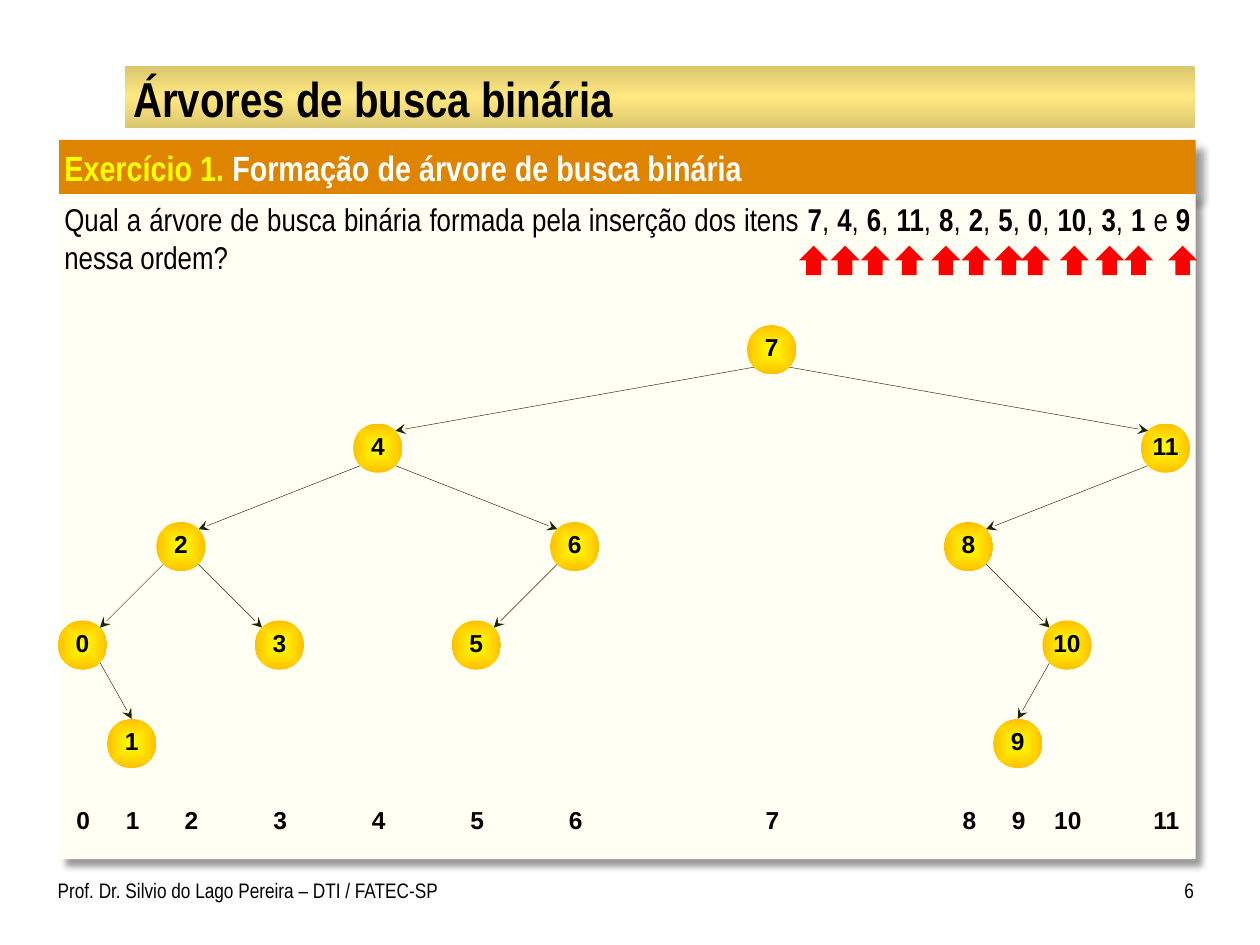
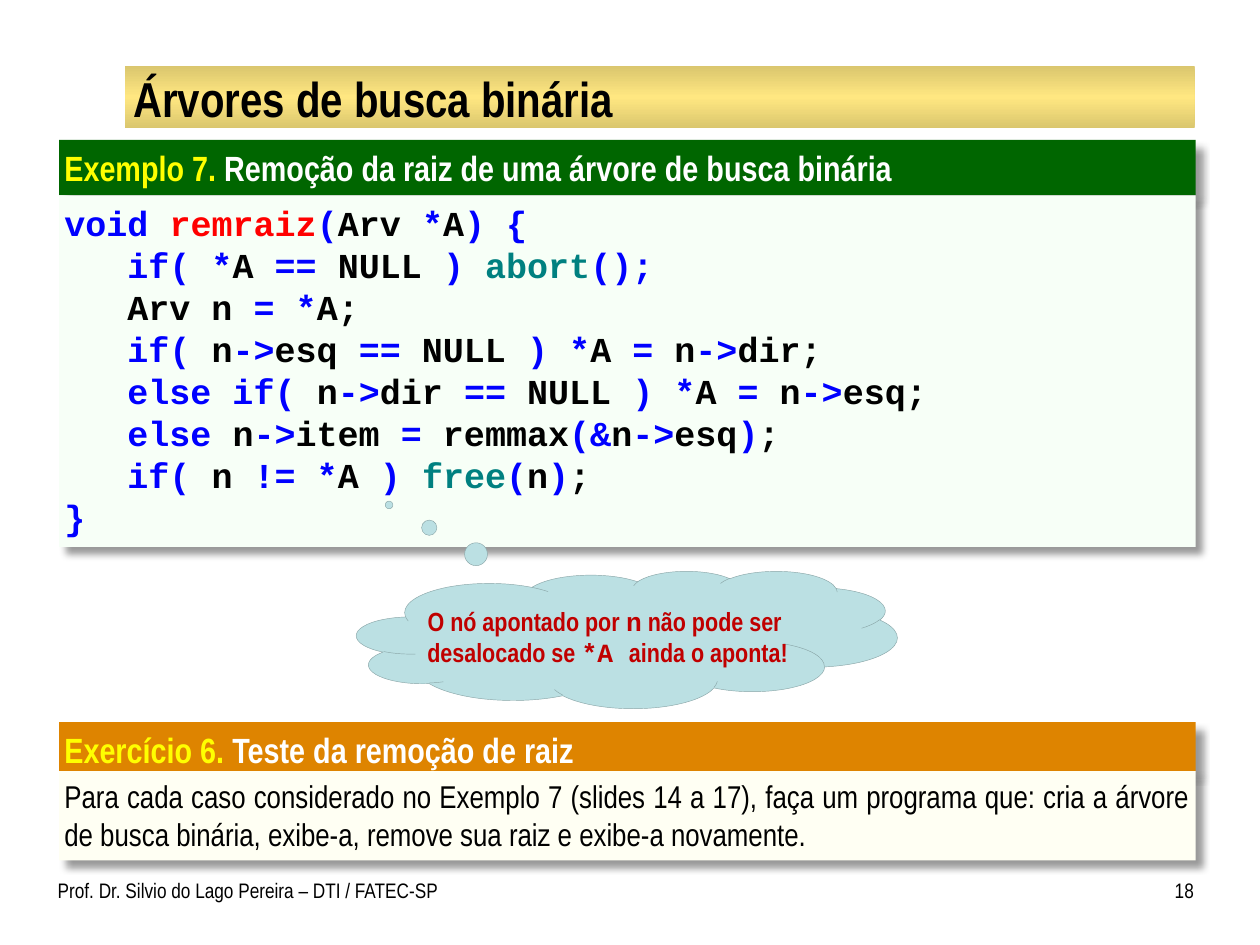
from dataclasses import dataclass
from math import sqrt

from lxml import etree
from pptx import Presentation
from pptx import util as u
from pptx.dml import color
from pptx.enum import shapes, text
from pptx.oxml import ns

TITLE = "Árvores de busca binária"
FOOTER = "Prof. Dr. Silvio do Lago Pereira – DTI / FATEC-SP"

FORMATION = {
    "page": "6",
    "heading": "`Exercício 1.` Formação de árvore de busca binária",
    "question": "Qual a árvore de busca binária formada pela inserção dos itens "
                "`7`, `4`, `6`, `11`, `8`, `2`, `5`, `0`, `10`, `3`, `1` e `9` nessa ordem?",
    "items": [7, 4, 6, 11, 8, 2, 5, 0, 10, 3, 1, 9],
    "marker_lefts": [456.5, 474.5, 491.8, 511.2, 532.1, 549.4,
                     568.1, 583.2, 605.5, 625.7, 642.2, 667.4],
}

REMOVAL = {
    "page": "18",
    "heading": "`Exemplo 7.` Remoção da raiz de uma árvore de busca binária",
    "code": [
        (0, "`void `remraiz`(`Arv` *`A`) {`"),
        (1, "`if( *`A` == `NULL` ) `abort`();`"),
        (1, "Arv n `= *`A;"),
        (1, "`if(` n`->`esq `==` NULL `) *`A `=` n`->`dir;"),
        (1, "`else if(` n`->`dir `==` NULL `) *`A `=` n`->`esq;"),
        (1, "`else` n`->`item `= `remmax`(&`n`->`esq`)`;"),
        (1, "`if(` n `!= *`A `) `free`(`n`)`;"),
        (0, "`}`"),
    ],
    "warning": ["O nó apontado por `n` não pode ser ",
                "desalocado se `*A `ainda o aponta!"],
    "exercise_heading": "`Exercício 6.` Teste da remoção de raiz",
    "exercise": "Para cada caso considerado no Exemplo 7 (slides 14 a 17), faça um programa "
                "que: cria a árvore de busca binária, exibe-a, remove sua raiz e exibe-a "
                "novamente.",
}


@dataclass(frozen=True)
class Theme:
    black: str = "000000"
    white: str = "FFFFFF"
    yellow: str = "FFFF00"
    amber: str = "FFC000"
    gold: str = "DAC66E"
    light_gold: str = "FFE781"
    orange: str = "DE8400"
    cream: str = "FFFFF3"
    green: str = "006600"
    mint: str = "F7FFF7"
    red: str = "FF0000"
    blue: str = "0000FF"
    teal: str = "008080"
    dark_red: str = "C00000"
    cloud: str = "BBE0E3"
    cloud_edge: str = "8AA6A8"
    branch: str = "222501"
    narrow: str = "Arial Narrow"
    sans: str = "Arial"
    mono: str = "Courier New"
    title_size: int = 28
    heading_size: int = 20
    body_size: int = 18
    code_size: int = 20
    warning_size: int = 15
    node_size: int = 14
    footer_size: int = 12


T = Theme()
FUNCTION_COLORS = {"remraiz": T.red, "abort": T.teal, "free": T.teal}
PANEL_LEFT, PANEL_WIDTH = 33.8, 649.4
CELL = 28.13
TREE_LEFT, TREE_TOP = 33.1, 185.8
CORNER = CELL / 2 / sqrt(2)
CODE_INDENT = 36


def rgb(value):
    return color.RGBColor.from_string(value)


def write(shape, lines, *, size, font=T.narrow, ink=T.black, bold=False, alt=None,
          names=None, align=text.PP_ALIGN.LEFT, anchor=text.MSO_ANCHOR.TOP,
          insets=(3, 3.6, 3, 3.6), before=0, wrap=True, indents=None):
    frame = shape.text_frame
    frame.word_wrap = wrap
    frame.vertical_anchor = anchor
    (frame.margin_left, frame.margin_top,
     frame.margin_right, frame.margin_bottom) = map(u.Pt, insets)
    base = {"font": font, "ink": ink, "bold": bold}
    for row, line in enumerate(lines):
        paragraph = frame.add_paragraph() if row else frame.paragraphs[0]
        paragraph.alignment = align
        paragraph.space_before = u.Pt(before)
        if indents and indents[row]:
            properties = paragraph._p.get_or_add_pPr()
            properties.set("marL", str(u.Pt(indents[row])))
            properties.set("indent", "0")
        for part, words in enumerate(line.split("`")):
            if not words:
                continue
            look = {**base, **((alt or {}) if part % 2 else {})}
            run = paragraph.add_run()
            run.text = words
            run.font.size = u.Pt(size)
            run.font.name = look["font"]
            run.font.bold = look["bold"]
            run.font.color.rgb = rgb((names or {}).get(words, look["ink"]))


def draw(slide, kind, left, top, width, height, fill=None, edge=None):
    shape = slide.shapes.add_shape(kind, *map(u.Pt, (left, top, width, height)))
    shape.shadow.inherit = False
    if fill:
        shape.fill.solid()
        shape.fill.fore_color.rgb = rgb(fill)
    else:
        shape.fill.background()
    if edge:
        shape.line.color.rgb = rgb(edge)
        shape.line.width = u.Pt(0.25)
    else:
        shape.line.fill.background()
    return shape


def add_xml(parent, tag, **attributes):
    return etree.SubElement(parent, ns.qn(tag), attributes)


def grade(shape, stops, radial=False):
    properties = shape.element.spPr
    plain = properties.find(ns.qn("a:noFill"))
    gradient = etree.Element(ns.qn("a:gradFill"), rotWithShape="1")
    stop_list = add_xml(gradient, "a:gsLst")
    for position, value in stops:
        stop = add_xml(stop_list, "a:gs", pos=str(position * 1000))
        add_xml(stop, "a:srgbClr", val=value)
    if radial:
        center = add_xml(gradient, "a:path", path="shape")
        add_xml(center, "a:fillToRect", **dict.fromkeys("ltrb", "50000"))
    else:
        add_xml(gradient, "a:lin", ang="5400000", scaled="1")
    properties.replace(plain, gradient)


def panel(slide, top, height, fill):
    shape = draw(slide, shapes.MSO_SHAPE.RECTANGLE, PANEL_LEFT, top, PANEL_WIDTH, height, fill)
    effects = shape.element.spPr.find(ns.qn("a:effectLst"))
    shadow = add_xml(effects, "a:outerShdw", blurRad=str(u.Pt(4)), dist=str(u.Pt(6)),
                     dir="2700000", algn="tl", rotWithShape="0")
    add_xml(add_xml(shadow, "a:srgbClr", val=T.black), "a:alpha", val="40000")
    return shape


def heading(slide, words, top, height, fill):
    write(panel(slide, top, height, fill), [words], size=T.heading_size, ink=T.white,
          bold=True, alt={"ink": T.yellow}, insets=(3, 3.6, 7.2, 3.6))


def body(slide, words, top, height):
    write(panel(slide, top, height, T.cream), [words], size=T.body_size,
          alt={"bold": True}, align=text.PP_ALIGN.JUSTIFY, before=6)


def label(slide, words, left, top, width, height, **look):
    write(slide.shapes.add_textbox(*map(u.Pt, (left, top, width, height))), [words], **look)


def start_slide(deck, page):
    slide = deck.slides.add_slide(deck.slide_layouts[6])
    band = draw(slide, shapes.MSO_SHAPE.RECTANGLE, 71.4, 37.6, 611.3, 35.8)
    grade(band, [(0, T.gold), (50, T.light_gold), (100, T.gold)])
    label(slide, TITLE, 71.8, 38.8, 610, 34, size=T.title_size, bold=True,
          anchor=text.MSO_ANCHOR.MIDDLE, insets=(4.3, 0.7, 4.3, 0.7))
    label(slide, FOOTER, 33, 498.2, 235.4, 30, size=T.footer_size, insets=(0, 3.6, 7.2, 3.6))
    label(slide, page, 653.8, 498.2, 28.4, 30, size=T.footer_size,
          align=text.PP_ALIGN.RIGHT, insets=(7.2, 3.6, 0, 3.6))
    return slide


def grow_tree(items):
    places, links = {items[0]: (14, 0)}, {}
    for item in items[1:]:
        parent = items[0]
        while (parent, item > parent) in links:
            parent = links[parent, item > parent]
        links[parent, item > parent] = item
        column, depth = places[parent]
        step = 16 // 2 ** (depth + 1)
        places[item] = (column + (step if item > parent else -step), depth + 1)
    return places, links


def number(slide, item, left, top):
    disc = draw(slide, shapes.MSO_SHAPE.OVAL, left, top, CELL, CELL)
    write(disc, [str(item)], size=T.node_size, font=T.sans, bold=True,
          align=text.PP_ALIGN.CENTER, insets=(0, 0, 0, 0))
    return disc


def branch(slide, start, end):
    line = slide.shapes.add_connector(shapes.MSO_CONNECTOR.STRAIGHT, *map(u.Pt, start + end))
    line.line.color.rgb = rgb(T.branch)
    line.line.width = u.Pt(0.25)
    properties = line.element.spPr
    add_xml(properties.find(ns.qn("a:ln")), "a:tailEnd", type="stealth")
    add_xml(properties, "a:effectLst")


def draw_tree(slide, items):
    places, links = grow_tree(items)
    corners = {item: (TREE_LEFT + column * CELL, TREE_TOP + depth * 2 * CELL)
               for item, (column, depth) in places.items()}
    centers = {item: (x + CELL / 2, y + CELL / 2) for item, (x, y) in corners.items()}
    for (parent, goes_right), child in links.items():
        side = CORNER if goes_right else -CORNER
        (px, py), (cx, cy) = centers[parent], centers[child]
        is_last_row = places[child][1] == 4
        end = (cx, cy - CELL / 2) if is_last_row else (cx - side, cy - CORNER)
        branch(slide, (px + side, py + CORNER), end)
    for item, (left, top) in corners.items():
        grade(number(slide, item, left, top), [(0, T.yellow), (100, T.amber)], radial=True)
    for item in sorted(items):
        nudge = 6 if item == 2 else 0.5
        number(slide, item, corners[item][0] + nudge, 455.8)


def formation_slide(deck):
    slide = start_slide(deck, FORMATION["page"])
    heading(slide, FORMATION["heading"], 79.9, 31.4, T.orange)
    body(slide, FORMATION["question"], 111, 380)
    draw_tree(slide, FORMATION["items"])
    for left in FORMATION["marker_lefts"]:
        marker = draw(slide, shapes.MSO_SHAPE.RIGHT_ARROW, left, 140.4, 16.8, 16.8, T.red)
        marker.rotation = 270


def removal_slide(deck):
    slide = start_slide(deck, REMOVAL["page"])
    heading(slide, REMOVAL["exercise_heading"], 412.6, 28.1, T.orange)
    body(slide, REMOVAL["exercise"], 440.6, 51.1)
    heading(slide, REMOVAL["heading"], 79.9, 31.7, T.green)
    levels, code = zip(*REMOVAL["code"])
    write(panel(slide, 111.6, 200.9, T.mint), code, size=T.code_size, font=T.mono, bold=True,
          alt={"ink": T.blue}, names=FUNCTION_COLORS,
          indents=[level * CODE_INDENT for level in levels])
    cloud = draw(slide, shapes.MSO_SHAPE.CLOUD_CALLOUT, 203.8, 326.2, 308.9, 78.5,
                 T.cloud, T.cloud_edge)
    cloud.adjustments[0], cloud.adjustments[1] = -0.44, -0.98
    write(cloud, REMOVAL["warning"], size=T.warning_size, ink=T.dark_red, bold=True,
          alt={"font": T.mono}, align=text.PP_ALIGN.CENTER, anchor=text.MSO_ANCHOR.MIDDLE,
          insets=(0, 3, 0, 3), wrap=False)


def main():
    deck = Presentation()
    deck.slide_width, deck.slide_height = u.Pt(720), u.Pt(540)
    formation_slide(deck)
    removal_slide(deck)
    deck.save("out.pptx")


if __name__ == "__main__":
    main()
